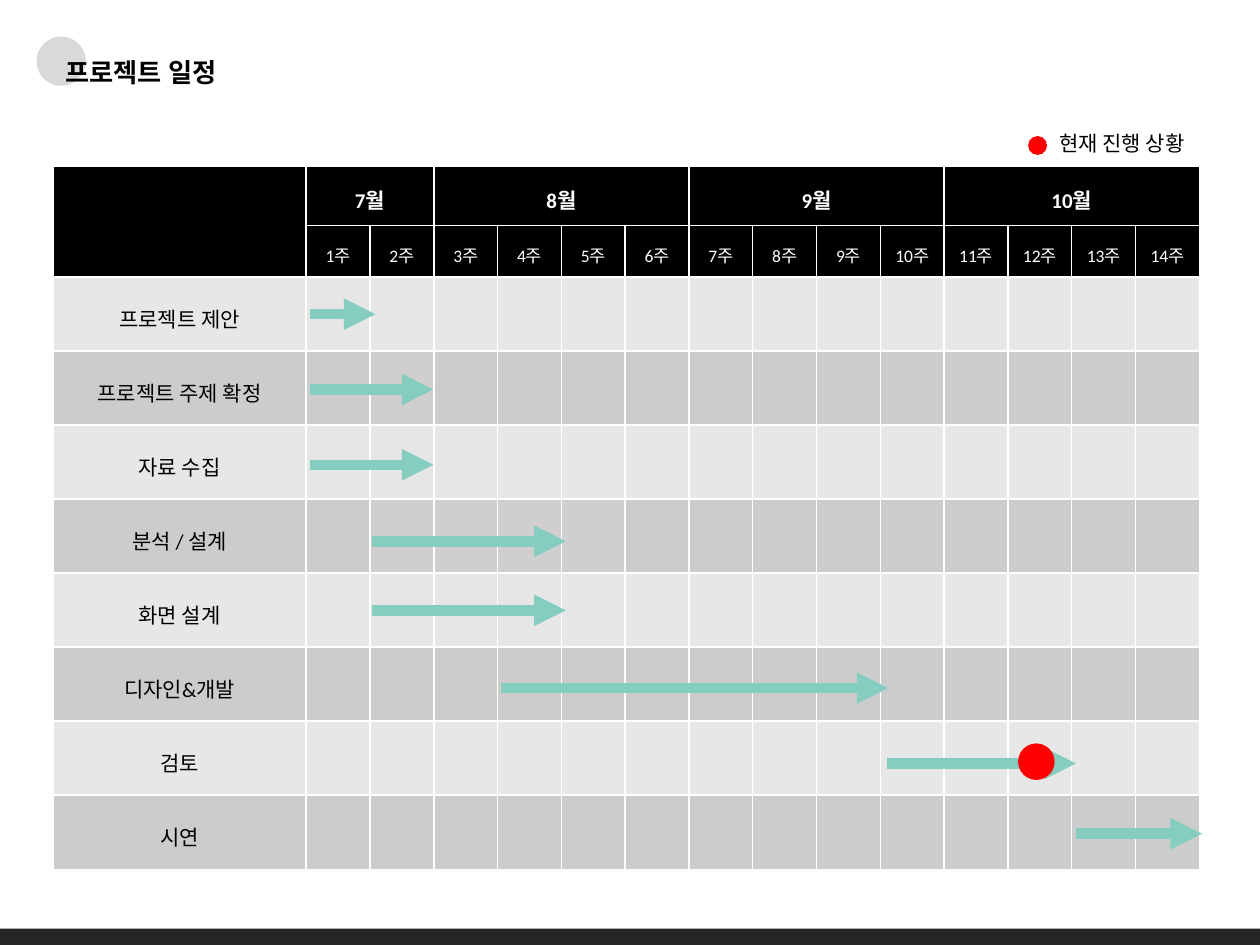
import pptx
import pptx.dml.color
import pptx.enum.shapes
import pptx.enum.text
import pptx.oxml
import pptx.oxml.ns
import pptx.util
from pptx.util import Inches

COLORS = {
    "white": "FFFFFF", "black": "000000", "circle": "D9D9D9", "footer": "262626",
    "arrow": "85CDBE", "current": "FF0000",
}
# Plain fill and fill of the planned weeks, for alternating rows
BANDS = [("E7E7E7", "E7E6E6"), ("CCCCCC", "D0CECE")]
MONTHS = [("7월", 2), ("8월", 4), ("9월", 4), ("10월", 4)]
WEEK_COUNT = sum(weeks for _, weeks in MONTHS)
HEADER_HEIGHTS = [Inches(0.47), Inches(0.41)]
LABEL_WIDTH = Inches(2.01)
# Label, tinted weeks, arrow start and end from the table's left edge,
# arrow offset below the row's middle
TASKS = [
    ("프로젝트 제안", range(1, 2), 2.04, 2.56, 0),
    ("프로젝트 주제 확정", range(2, 3), 2.04, 3.02, 0.01),
    ("자료 수집", range(1, 4), 2.04, 3.02, 0.02),
    ("분석 / 설계", range(2, 6), 2.53, 4.07, 0.04),
    ("화면 설계", range(2, 5), 2.53, 4.07, 0),
    ("디자인&개발", range(0), 3.56, 6.63, 0.03),
    ("검토", range(0), 6.62, 8.12, 0.04),
    ("시연", range(0), 8.12, 9.12, 0.01),
]


def rgb(name):
    return pptx.dml.color.RGBColor.from_string(COLORS.get(name, name))


def style_font(target, size, color, font_name="Calibri", bold=False):
    font = target.font
    font.name, font.size, font.bold = font_name, pptx.util.Pt(size), bold
    font.color.rgb = rgb(color)


def add_filled_shape(slide, kind, left, top, width, height, color):
    shape = slide.shapes.add_shape(kind, left, top, width, height)
    shape.shadow.inherit = False
    shape.fill.solid()
    shape.fill.fore_color.rgb = rgb(color)
    shape.line.fill.background()
    return shape


def add_dot(slide, left, top, diameter, color):
    oval = pptx.enum.shapes.MSO_SHAPE.OVAL
    return add_filled_shape(slide, oval, left, top, diameter, diameter, color)


def add_title(slide, left, top, width, height):
    title = slide.shapes.title
    title.left, title.top, title.width, title.height = left, top, width, height
    frame = title.text_frame
    frame.text = "프로젝트 일정"
    frame.auto_size = pptx.enum.text.MSO_AUTO_SIZE.NONE
    frame.vertical_anchor = pptx.enum.text.MSO_ANCHOR.BOTTOM
    paragraph = frame.paragraphs[0]
    paragraph.alignment = pptx.enum.text.PP_ALIGN.LEFT
    paragraph.line_spacing = 0.9
    style_font(paragraph, 15, "black", "Arial", True)
    circle = add_dot(slide, left - Inches(0.13), top - Inches(0.1), Inches(0.39), "circle")
    title.element.addprevious(circle.element)


def add_footer(slide, left, top, width, height):
    rectangle = pptx.enum.shapes.MSO_SHAPE.RECTANGLE
    add_filled_shape(slide, rectangle, left, top, width, height, "footer")


def add_legend(slide, left, top, width, height):
    add_dot(slide, left, top + Inches(0.09), Inches(0.15), "current")
    text_left = left + Inches(0.15)
    box = slide.shapes.add_textbox(text_left, top, width - Inches(0.15), height)
    box.text_frame.word_wrap = True
    box.text_frame.text = "현재 진행 상황"
    style_font(box.text_frame.paragraphs[0], 12, "black")


def fill_cell(cell, fill, text="", size=12, color="black", bold=False):
    properties = cell._tc.get_or_add_tcPr()
    for side in ("lnL", "lnR", "lnT", "lnB"):
        properties.append(pptx.oxml.parse_xml(
            f'<a:{side} {pptx.oxml.ns.nsdecls("a")} w="12700"><a:solidFill>'
            f'<a:srgbClr val="{COLORS["white"]}"/></a:solidFill></a:{side}>'))
    cell.fill.solid()
    cell.fill.fore_color.rgb = rgb(fill)
    cell.vertical_anchor = pptx.enum.text.MSO_ANCHOR.MIDDLE
    cell.text = text
    paragraph = cell.text_frame.paragraphs[0]
    paragraph.alignment = pptx.enum.text.PP_ALIGN.CENTER
    paragraph.line_spacing = 1.25
    style_font(paragraph, size, color, bold=bold)


def add_schedule_table(slide, left, top, width, height):
    row_count = len(HEADER_HEIGHTS) + len(TASKS)
    frame = slide.shapes.add_table(row_count, WEEK_COUNT + 1, left, top, width, height)
    table = frame.table
    task_height = (height - sum(HEADER_HEIGHTS)) // len(TASKS)
    for row, row_height in zip(table.rows, HEADER_HEIGHTS + [task_height] * len(TASKS)):
        row.height = row_height
    week_width = (width - LABEL_WIDTH) // WEEK_COUNT
    for column, column_width in zip(table.columns, [LABEL_WIDTH] + [week_width] * WEEK_COUNT):
        column.width = column_width

    month_starts = {}
    first_week = 1
    for month, weeks in MONTHS:
        month_starts[first_week] = month
        table.cell(0, first_week).merge(table.cell(0, first_week + weeks - 1))
        first_week += weeks
    table.cell(0, 0).merge(table.cell(1, 0))
    for week in range(WEEK_COUNT + 1):
        fill_cell(table.cell(0, week), "black", month_starts.get(week, ""), 12, "white", True)
        fill_cell(table.cell(1, week), "black", f"{week}주" if week else "", 10, "white")

    for index, (label, tinted_weeks, *_) in enumerate(TASKS):
        plain, tinted = BANDS[index % 2]
        for week in range(WEEK_COUNT + 1):
            fill = tinted if week in tinted_weeks else plain
            fill_cell(table.cell(index + 2, week), fill, "" if week else label)


def add_arrow(slide, start, end, y):
    arrow = slide.shapes.add_connector(
        pptx.enum.shapes.MSO_CONNECTOR.STRAIGHT, start, y, end, y)
    arrow.line.width = pptx.util.Pt(6)
    arrow.line.color.rgb = rgb("arrow")
    namespace = pptx.oxml.ns.nsdecls("a")
    arrow.line._get_or_add_ln().append(
        pptx.oxml.parse_xml(f'<a:tailEnd {namespace} type="triangle"/>'))
    arrow.element.spPr.append(pptx.oxml.parse_xml(f"<a:effectLst {namespace}/>"))


def add_schedule(slide, left, top, width, height):
    """Table with an arrow for each task and a dot at the current week."""
    add_schedule_table(slide, left, top, width, height)
    header_height = sum(HEADER_HEIGHTS)
    task_height = (height - header_height) / len(TASKS)
    for index, (_, _, start, end, offset) in enumerate(TASKS):
        middle = top + header_height + int((index + 0.5) * task_height)
        add_arrow(slide, left + Inches(start), left + Inches(end), middle + Inches(offset))
    add_dot(slide, left + Inches(7.66), top + Inches(4.58), Inches(0.29), "current")


def main():
    presentation = pptx.Presentation()
    presentation.slide_width, presentation.slide_height = Inches(10), Inches(7.5)
    slide = presentation.slides.add_slide(presentation.slide_layouts[5])
    add_footer(slide, 0, Inches(7.37), Inches(10), Inches(0.16))
    add_title(slide, Inches(0.42), Inches(0.39), Inches(3.37), Inches(0.36))
    add_schedule(slide, Inches(0.42), Inches(1.32), Inches(9.1), Inches(5.58))
    add_legend(slide, Inches(8.16), Inches(0.99), Inches(1.62), Inches(0.3))
    presentation.save("out.pptx")


if __name__ == "__main__":
    main()
